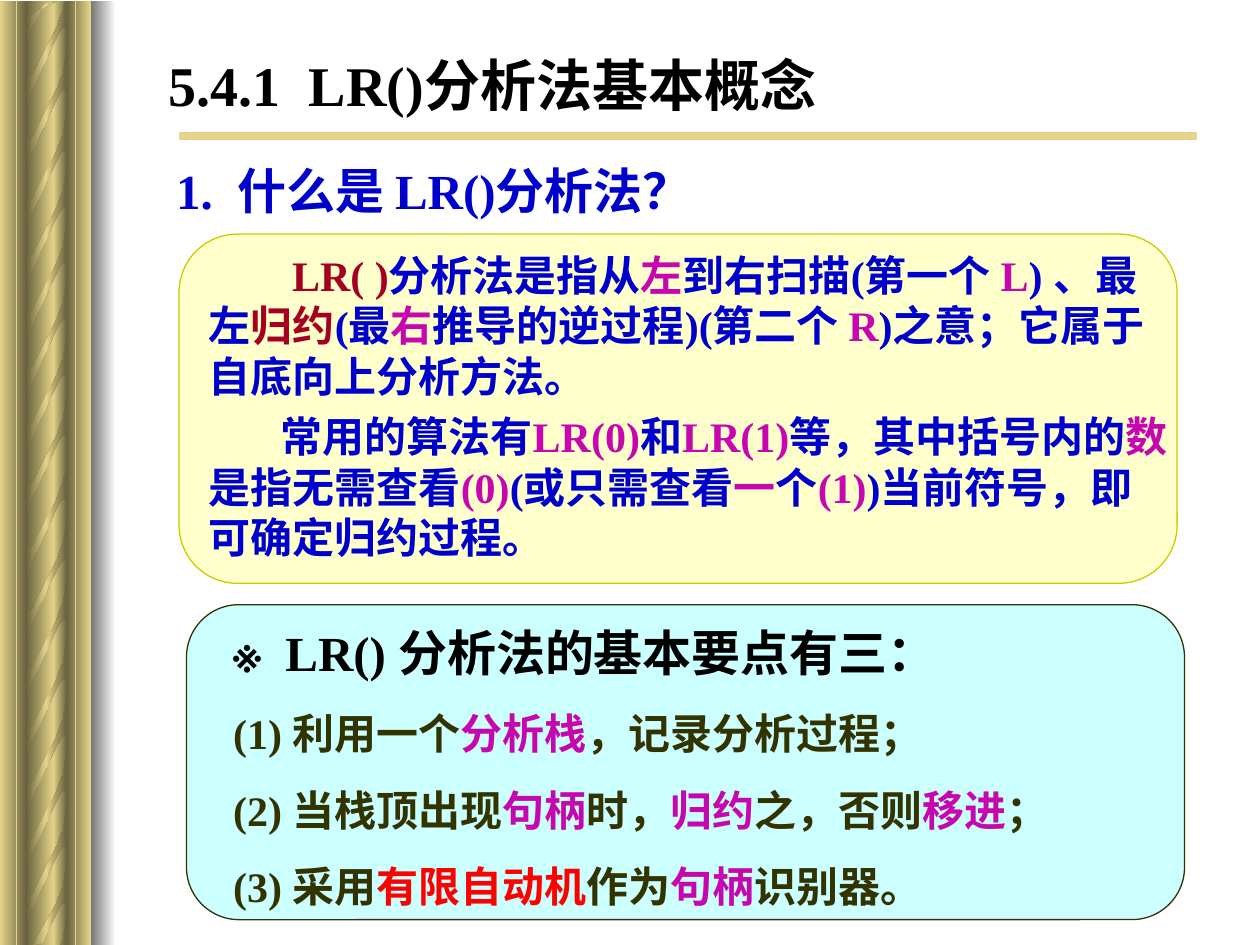
from lxml.etree import SubElement
from copy import deepcopy
from pptx import Presentation
from pptx.dml.color import RGBColor
from pptx.enum.shapes import MSO_CONNECTOR, MSO_SHAPE
from pptx.enum.text import MSO_ANCHOR, MSO_AUTO_SIZE, PP_ALIGN
from pptx.oxml.ns import qn
from pptx.util import Cm, Pt

FONT = "Times New Roman"
COLORS = {
    "black": "000000", "blue": "0000CC", "magenta": "C606AF", "crimson": "A50021",
    "red": "FF0000", "moss": "333300", "gold": "E5D58A", "olive": "69623F",
    "gray": "757575", "white": "FFFFFF", "cream": "FFFFCC", "mustard": "CCCC00",
    "aqua": "CCFFFF",
}

# Outline of one rope strand, in cm from its top left corner
STRAND = [
    (.81, .23), (.81, .86), (.79, .84), (.74, .84), (.71, .86), (.66, .94),
    (.56, 1.14), (.33, 1.63), (.1, 2.11), (.08, 2.24), (.03, 2.36), (.03, 2.57),
    (0, 2.84), (0, 1.63), (0, 1.73), (.03, 1.78), (.05, 1.8), (.08, 1.83),
    (.1, 1.83), (.13, 1.8), (.61, .84), (.69, .61), (.74, .51), (.76, .38),
    (.79, .18), (.81, 0), (.81, .53),
]
UPPER_STRANDS = [-1.52, -.28, .97, 2.21, 3.35, 4.47, 5.61, 6.73, 7.95]
LOWER_STRANDS = [9.22, 10.46, 11.66, 12.85, 14, 15.11, 16.23, 17.37, 18.44]

DEFINITION = [
    (1.68, [("LR( )", "crimson"), ("分析法是指从", "blue"), ("左", "magenta"),
            ("到右扫描(第一个 ", "blue"), ("L", "magenta"), (") 、最左", "blue"),
            ("归约", "crimson"), ("(最", "blue"), ("右", "magenta"),
            ("推导的逆过程)(第二个 ", "blue"), ("R", "magenta"),
            (")之意；它属于自底向上分析方法。", "blue")]),
    (1.45, [("常用的算法有", "blue"), ("LR(0)", "magenta"), ("和", "blue"),
            ("LR(1)", "magenta"), ("等，其中括号内的", "blue"), ("数", "magenta"),
            ("是指无需查看", "blue"), ("(0)", "magenta"), ("(或只需查看", "blue"),
            ("一", "magenta"), ("个", "blue"), ("(1)", "magenta"),
            (")当前符号，即可确定归约过程。", "blue")]),
]
KEY_POINTS = [
    [("(1) 利用一个", "moss"), ("分析栈", "magenta"), ("，记录分析过程；", "moss")],
    [("(2) 当栈顶出现", "moss"), ("句柄", "magenta"), ("时，", "moss"),
     ("归约", "magenta"), ("之，否则", "moss"), ("移进", "magenta"), ("；", "moss")],
    [("(3) 采用", "moss"), ("有限自动机", "red"), ("作为", "moss"),
     ("句柄", "magenta"), ("识别器。", "moss")],
]


def rgb(name):
    return RGBColor.from_string(COLORS[name])


def write(p, runs, size=24, before=0, left=0, indent=0):
    """Fill a paragraph with (text, colour) runs."""
    p.alignment = PP_ALIGN.LEFT
    p.space_before = Pt(before)
    pPr = p._p.get_or_add_pPr()
    pPr.set("marL", str(Cm(left)))
    pPr.set("indent", str(Cm(indent)))
    for text, color in runs:
        r = p.add_run()
        r.text = text
        r.font.name, r.font.size, r.font.bold = FONT, Pt(size), True
        r.font.color.rgb = rgb(color)


def text_frame(s, x, y, w, h):
    tf = s.shapes.add_textbox(Cm(x), Cm(y), Cm(w), Cm(h)).text_frame
    tf.word_wrap = True
    return tf


def paint_gradient(sp, colors):
    """Left-to-right gradient without outline."""
    sp.shadow.inherit = False
    sp.line.fill.background()
    sp.fill.gradient()
    sp.fill.gradient_angle = 0
    stops = sp.fill.gradient_stops
    if len(colors) == 3:
        stops[0]._gs.addnext(deepcopy(stops[0]._gs))
        stops = sp.fill.gradient_stops
    for i, (stop, color) in enumerate(zip(stops, colors)):
        stop.position = i / (len(colors) - 1)
        stop.color.rgb = rgb(color)


def add_line(s, x1, y1, x2, y2, width):
    line = s.shapes.add_connector(MSO_CONNECTOR.STRAIGHT, Cm(x1), Cm(y1), Cm(x2), Cm(y2))
    line.line.color.rgb = rgb("gold")
    line.line.width = Pt(width)
    SubElement(line._element.spPr, qn("a:effectLst"))


def add_band(s, x, y, w, h, colors):
    sp = s.shapes.add_shape(MSO_SHAPE.RECTANGLE, Cm(x), Cm(y), Cm(w), Cm(h))
    paint_gradient(sp, colors)


def add_column(s, x, y, h, tops, bottom):
    """Half of the fluted column, its rope cut off at y and bottom."""
    light, dark = ("gold", "olive"), ("olive", "gold")
    for dx, w, colors in [(1.07, .28, light), (0, .53, light),
                          (.53, .56, dark), (1.35, .48, dark)]:
        add_band(s, x + dx, y, w, h, colors)
    for top in tops:
        points = [(Cm(x + .53 + dx), Cm(min(max(top + dy, y), bottom)))
                  for dx, dy in STRAND]
        builder = s.shapes.build_freeform(*points[0])
        builder.add_line_segments(points[1:], close=True)
        paint_gradient(builder.convert_to_shape(), ("olive", "gold", "olive"))


def add_side_border(s, x, y, h):
    half = h / 2
    add_column(s, x, y + half, half, LOWER_STRANDS, y + h)
    add_column(s, x, y, half, UPPER_STRANDS, y + h)
    add_band(s, x + 1.83, y, .51, h, ("gray", "white"))
    for dx in (.33, 1.52):
        add_line(s, x + dx, y, x + dx, y + h, 1)


def add_title(s, x, y, w, h):
    title = s.shapes.title
    title.left, title.top, title.width, title.height = Cm(x), Cm(y), Cm(w), Cm(h)
    tf = title.text_frame
    tf.auto_size = MSO_AUTO_SIZE.NONE
    tf.vertical_anchor = MSO_ANCHOR.MIDDLE
    write(tf.paragraphs[0], [("5.4.1  LR()分析法基本概念", "black")], size=32)
    add_line(s, x + .46, y + 1.9, x + w + .02, y + 1.9, 4.5)


def add_card(s, x, y, w, h, fill, line):
    sp = s.shapes.add_shape(MSO_SHAPE.FLOWCHART_ALTERNATE_PROCESS, Cm(x), Cm(y), Cm(w), Cm(h))
    sp.shadow.inherit = False
    sp.fill.solid()
    sp.fill.fore_color.rgb = rgb(fill)
    sp.line.color.rgb = rgb(line)
    sp.line.width = Pt(.75)


def add_definition(s, x, y, w, h):
    add_card(s, x, y, w, h, "cream", "mustard")
    tf = text_frame(s, x - .92, y + .18, w + 1.09, h - .46)
    for i, (indent, runs) in enumerate(DEFINITION):
        p = tf.add_paragraph() if i else tf.paragraphs[0]
        write(p, runs, before=6, left=1.27, indent=indent)


def add_key_points(s, x, y, w, h):
    add_card(s, x, y, w, h, "aqua", "moss")
    tf = text_frame(s, x + .05, y + .23, w - 1.04, h - .28)
    write(tf.paragraphs[0], [("※  LR() 分析法的基本要点有三：", "black")],
          size=28, before=17.5, left=.64)
    for runs in KEY_POINTS:
        write(tf.add_paragraph(), runs, before=15, left=.64)


def main():
    prs = Presentation()
    prs.slide_width, prs.slide_height = Cm(25.4), Cm(19.05)
    s = prs.slides.add_slide(prs.slide_layouts[5])

    # Decorative border and title
    add_side_border(s, 0, .02, 19.05)
    add_title(s, 3.15, .84, 20.96, 1.7)

    # Question, its answer and the key points
    question = text_frame(s, 3.3, 3.12, 17.15, 1.45)
    write(question.paragraphs[0], [("1.  什么是 LR()分析法？", "blue")], size=28, before=17.5)
    add_definition(s, 3.61, 4.72, 20.12, 7.04)
    add_key_points(s, 3.76, 12.19, 20.12, 6.35)

    prs.save("out.pptx")


if __name__ == "__main__":
    main()
